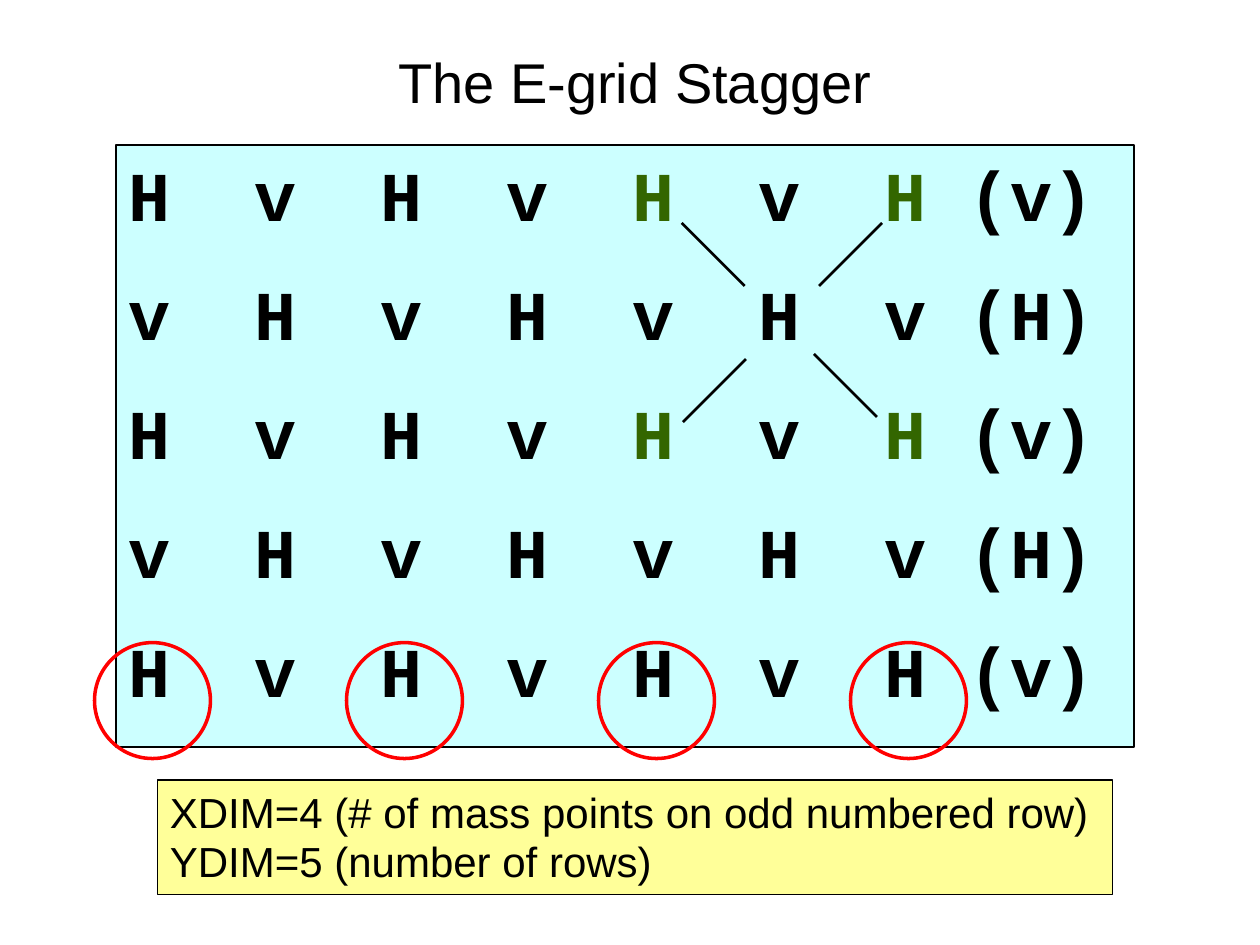
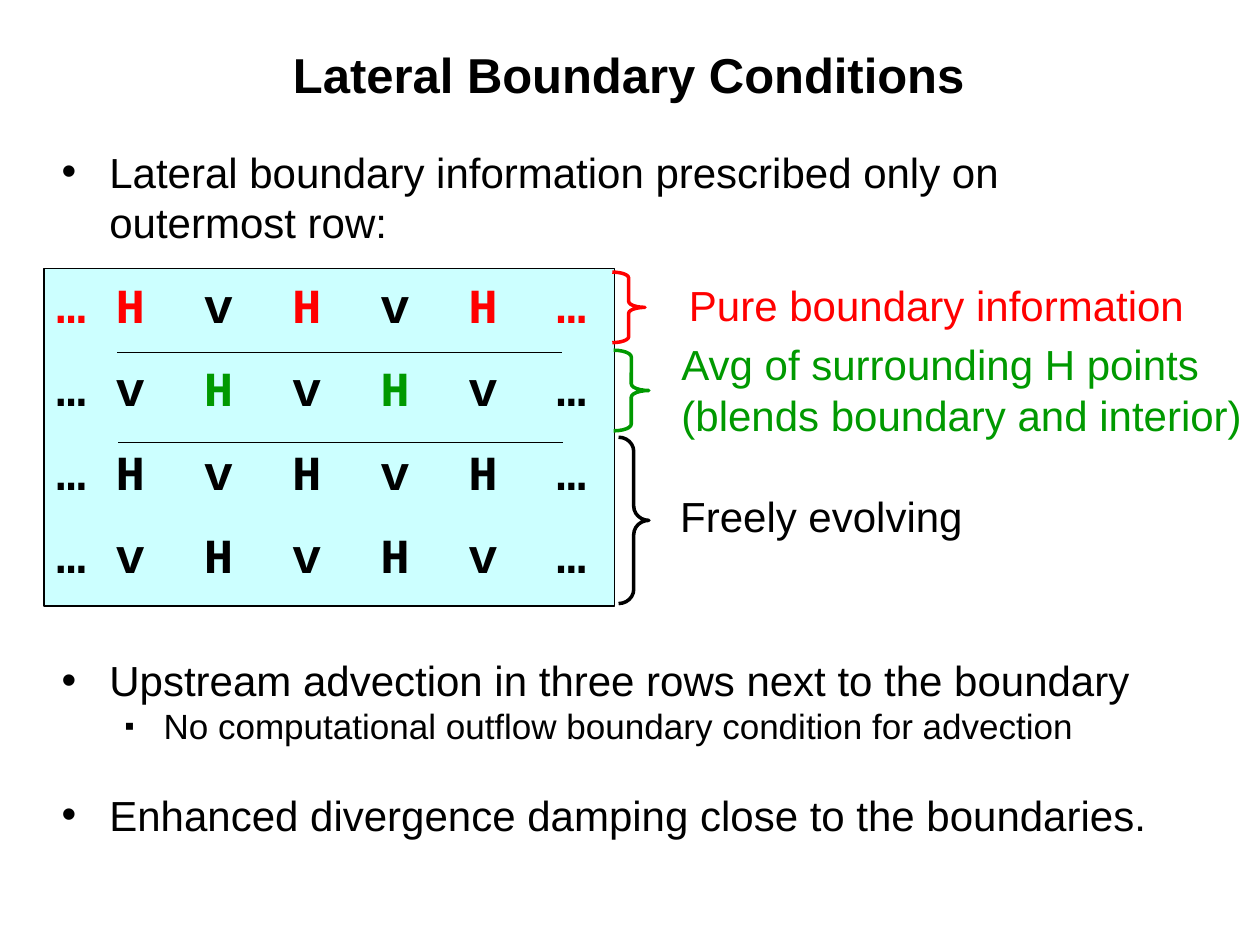
from dataclasses import dataclass

from lxml import etree
from pptx import Presentation
from pptx import util as u
from pptx.dml.color import RGBColor
from pptx.enum import shapes, text
from pptx.oxml import ns


@dataclass(frozen=True)
class Theme:
    sans: str = "Arial"
    mono: str = "Courier New"
    black: str = "000000"
    red: str = "FF0000"
    green: str = "009900"
    olive: str = "336600"
    cyan: str = "CCFFFF"
    yellow: str = "FFFF99"
    head: int = 32
    title: int = 28
    body: int = 24
    sub: int = 20
    thin: float = 0.75
    link: float = 1.5
    mark: float = 2


def add(node, tag, **attrs):
    return etree.SubElement(node, ns.qn(tag), {k: str(v) for k, v in attrs.items()})


class Deck:
    def __init__(self, theme):
        self.theme = theme
        self.file = Presentation()
        self.file.slide_width = u.Inches(10)
        self.file.slide_height = u.Inches(7.5)
        self.slide = None

    def page(self):
        self.slide = self.file.slides.add_slide(self.file.slide_layouts[6])

    def style(self, run, size, color, bold=False, face=None):
        font = run.font
        font.name = face or self.theme.sans
        font.size = u.Pt(size)
        font.bold = bold
        font.color.rgb = RGBColor.from_string(color)

    def gap(self, para):
        add(add(para._p.get_or_add_pPr(), "a:spcBef"), "a:spcPct", val=50000)

    def fill(self, frame, lines, size, color, bold=False, align=None, gap=True):
        frame.word_wrap = True
        frame.text = "\n".join(lines)
        for para in frame.paragraphs:
            para.alignment = align or text.PP_ALIGN.LEFT
            if gap:
                self.gap(para)
            for run in para.runs:
                self.style(run, size, color, bold)

    def label(self, at, line, size, color=None, **more):
        box = self.slide.shapes.add_textbox(*map(u.Inches, at))
        self.fill(box.text_frame, [line], size, color or self.theme.black, **more)
        return box.text_frame

    def shape(self, kind, at, line, width, fill=None):
        item = self.slide.shapes.add_shape(kind, *map(u.Inches, at))
        item.shadow.inherit = False
        if fill:
            item.fill.solid()
            item.fill.fore_color.rgb = RGBColor.from_string(fill)
        else:
            item.fill.background()
        item.line.color.rgb = RGBColor.from_string(line)
        item.line.width = u.Pt(width)
        return item

    def panel(self, at, fill):
        box = self.shape(shapes.MSO_SHAPE.RECTANGLE, at, self.theme.black,
                         self.theme.thin, fill)
        frame = box.text_frame
        frame.word_wrap = True
        frame.vertical_anchor = text.MSO_ANCHOR.TOP
        return frame

    def grid(self, at, rows, size, stops, tints):
        frame = self.panel(at, self.theme.cyan)
        for r, row in enumerate(rows):
            para = frame.paragraphs[0] if r == 0 else frame.add_paragraph()
            para.alignment = text.PP_ALIGN.LEFT
            self.gap(para)
            tabs = add(para._p.get_or_add_pPr(), "a:tabLst")
            for stop in stops:
                add(tabs, "a:tab", pos=u.Inches(stop), algn="l")
            for c, cell in enumerate(row.split()):
                run = para.add_run()
                run.text = "\t" + cell if c else cell
                tint = tints.get((r, c), self.theme.black)
                self.style(run, size, tint, True, self.theme.mono)

    def line(self, start, end, width):
        ends = map(u.Inches, (*start, *end))
        item = self.slide.shapes.add_connector(shapes.MSO_CONNECTOR.STRAIGHT, *ends)
        item.line.color.rgb = RGBColor.from_string(self.theme.black)
        item.line.width = u.Pt(width)
        add(item._element.spPr, "a:effectLst")

    def brace(self, at, curl, color):
        item = self.shape(shapes.MSO_SHAPE.RIGHT_BRACE, at, color, self.theme.mark)
        item.adjustments[0] = curl
        item.adjustments[1] = 0.5

    def bullets(self, at, items):
        frame = self.slide.shapes.add_textbox(*map(u.Inches, at)).text_frame
        frame.word_wrap = True
        frame.text = "\n".join(item[0] for item in items)
        looks = {
            0: (self.theme.body, 0.38, 0.38, "•", 100),
            1: (self.theme.sub, 0.81, 0.31, "▪", 80),
        }
        for para, (_, level, before) in zip(frame.paragraphs, items):
            size, left, hang, sign, scale = looks[level]
            para.level = level
            para.space_before = u.Pt(before)
            props = para._p.get_or_add_pPr()
            props.set("marL", str(u.Inches(left)))
            props.set("indent", str(-u.Inches(hang)))
            add(props, "a:buSzPct", val=scale * 1000)
            add(props, "a:buFont", typeface=self.theme.sans)
            add(props, "a:buChar", char=sign)
            self.style(para.runs[0], size, self.theme.black)


def stagger(deck):
    t = deck.theme
    deck.page()
    deck.label((0.58, 0.33, 8.92, 0.63), "The E-grid Stagger", t.head,
               align=text.PP_ALIGN.CENTER)
    odd, even = "H v H v H v H (v)", "v H v H v H v (H)"
    near = {(r, c): t.olive for r in (0, 2) for c in (4, 6)}
    deck.grid((0.92, 1.15, 8.08, 4.78), [odd, even, odd, even, odd], 40,
              [*range(1, 7), 6.67], near)

    notes = deck.panel((1.25, 6.19, 7.58, 0.91), t.yellow)
    deck.fill(notes, ["XDIM=4 (# of mass points on odd numbered row)",
                      "YDIM=5 (number of rows)"], t.body, t.black)
    notes.paragraphs[1].line_spacing = 0.5

    for x, y, rise in ((5.42, 3.35, -0.5), (6.5, 2.27, -0.5),
                       (5.41, 1.77, 0.5), (6.46, 2.81, 0.5)):
        deck.line((x, y), (x + 0.5, y + rise), t.link)
    for col in range(4):
        deck.shape(shapes.MSO_SHAPE.OVAL, (0.75 + 2 * col, 5.1, 0.92, 0.92),
                   t.red, t.mark)


def bounds(deck):
    t = deck.theme
    deck.page()
    deck.bullets((0.39, 1.11, 8.94, 5.9), [
        ("Lateral boundary information prescribed only on outermost row:", 0, 0),
        ("Upstream advection in three rows next to the boundary", 0, 233),
        ("No computational outflow boundary condition for advection", 1, 0),
        ("Enhanced divergence damping close to the boundaries.", 0, 24),
    ])
    odd, even = "… H v H v H …", "… v H v H v …"
    tints = {(0, c): t.red for c in (0, 1, 3, 5, 6)}
    tints.update({(1, c): t.green for c in (2, 4)})
    deck.grid((0.35, 2.13, 4.53, 2.68), [odd, even, odd, even], 28,
              [0.47 + 0.7 * col for col in range(6)], tints)
    for x, y in ((0.93, 2.8), (0.94, 3.51)):
        deck.line((x, y), (x + 3.53, y), t.thin)

    zones = (
        ((4.86, 2.16, 0.26, 0.56), 0.18, t.red,
         (5.37, 2.17, 4.37, 0.5), "Pure boundary information"),
        ((4.87, 2.78, 0.28, 0.64), 0.19, t.green, (5.31, 2.64, 4.69, 0.9),
         "Avg of surrounding H points (blends boundary and interior)"),
        ((4.91, 3.47, 0.24, 1.32), 0.47, t.black,
         (5.3, 3.84, 2.72, 0.5), "Freely evolving"),
    )
    for at, curl, color, spot, words in zones:
        deck.brace(at, curl, color)
        deck.label(spot, words, t.body, color)
    frame = deck.label((0.49, 0.17, 9, 0.83), "Lateral Boundary Conditions", t.title,
                       bold=True, align=text.PP_ALIGN.CENTER, gap=False)
    frame.vertical_anchor = text.MSO_ANCHOR.MIDDLE


def main():
    deck = Deck(Theme())
    stagger(deck)
    bounds(deck)
    deck.file.save("out.pptx")


if __name__ == "__main__":
    main()
